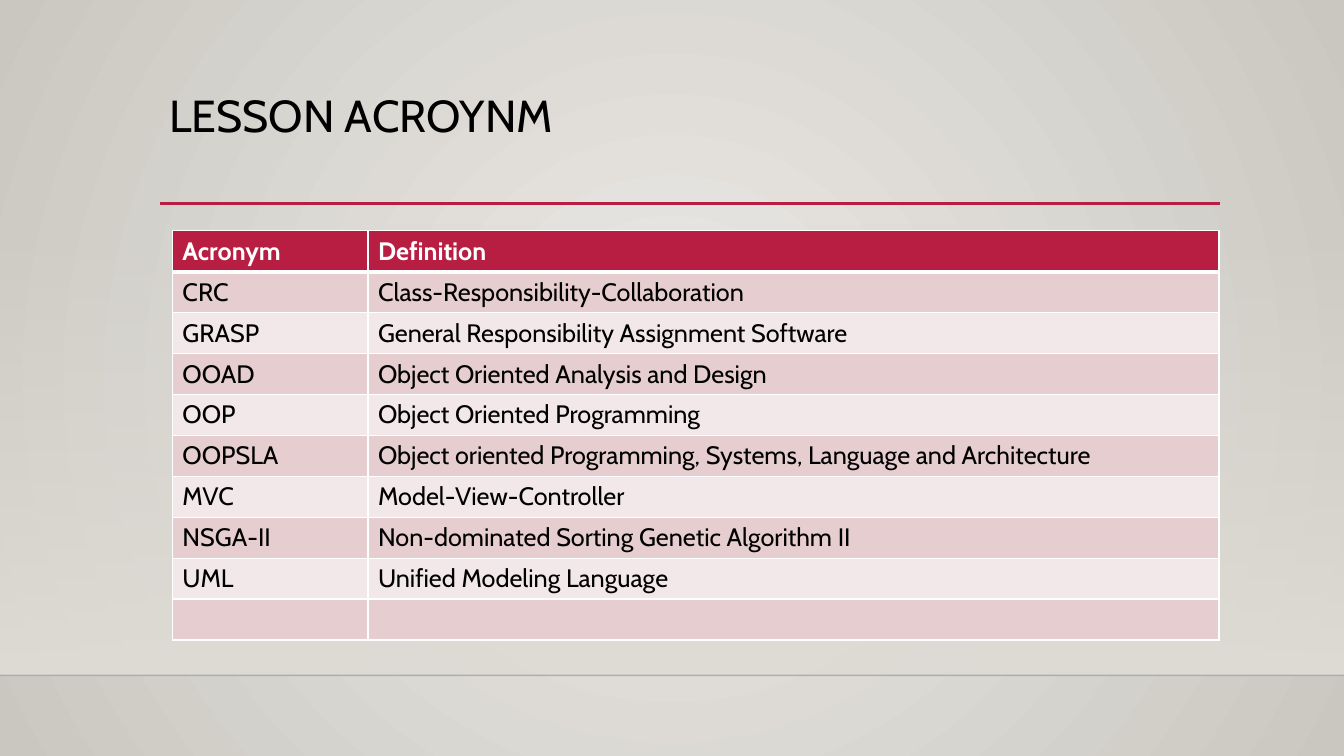
from lxml import etree
from pptx import Presentation, util as u
from pptx.dml.color import RGBColor
from pptx.enum import shapes, text
from pptx.oxml import parse_xml
from pptx.oxml.ns import qn

FONT = "Cabin"
INK = {
    "black": "000000", "white": "FFFFFF", "red": "B71E42",
    "rose": "E6CDCF", "pale": "F3E8E9", "sand": "DFDBD5",
    "glow": "ECEAE7", "edge": "CAC7C1", "floor": "000001",
}
ROWS = [
    ("Acronym", "Definition"),
    ("CRC", "Class-Responsibility-Collaboration"),
    ("GRASP", "General Responsibility Assignment Software"),
    ("OOAD", "Object Oriented Analysis and Design"),
    ("OOP", "Object Oriented Programming"),
    ("OOPSLA", "Object oriented Programming, Systems, Language and Architecture"),
    ("MVC", "Model-View-Controller"),
    ("NSGA-II", "Non-dominated Sorting Genetic Algorithm II"),
    ("UML", "Unified Modeling Language"),
    ("", ""),
]
COLS = (1.94, 8.44)
HIGH = 4.06 / len(ROWS)


def rgb(name):
    return RGBColor.from_string(INK[name])


def write(frame, words, size=18, color="black", bold=False, space=None):
    para = frame.paragraphs[0]
    para.line_spacing = space
    font = para.font
    if words:
        run = para.add_run()
        run.text = words
        font = run.font
    font.name, font.size, font.bold = FONT, u.Pt(size), bold
    font.color.rgb = rgb(color)


def blend(root, stops, way):
    """Replace the gradient under root; stops are (place, colour, opacity) in percent."""
    old = root.xpath(".//a:gradFill")[0]
    marks = "".join(
        f'<a:gs pos="{pos * 1000}"><a:srgbClr val="{INK[name]}">'
        f'<a:alpha val="{alpha * 1000}"/></a:srgbClr></a:gs>'
        for pos, name, alpha in stops)
    new = parse_xml(
        '<a:gradFill xmlns:a="http://schemas.openxmlformats.org/drawingml/2006/main" '
        f'rotWithShape="1"><a:gsLst>{marks}</a:gsLst>{way}</a:gradFill>')
    old.getparent().replace(old, new)


def paint(slide):
    """Fill the background with a round glow."""
    slide.background.fill.gradient()
    blend(slide._element, [(0, "glow", 100), (100, "edge", 100)],
          '<a:path path="circle"><a:fillToRect l="50000" t="50000" '
          'r="50000" b="50000"/></a:path>')


def wall(slide):
    box = slide.shapes.add_shape(
        shapes.MSO_SHAPE.RECTANGLE, 0, u.Inches(2.21), u.Inches(13.33), u.Inches(4.49))
    box.shadow.inherit = False
    box.line.fill.background()
    box.fill.gradient()
    blend(box._element, [(0, "sand", 0), (100, "sand", 100)],
          '<a:lin ang="5400000" scaled="0"/>')


def rule(slide, left, right, top, color, width, alpha=100):
    line = slide.shapes.add_connector(
        shapes.MSO_CONNECTOR.STRAIGHT,
        u.Inches(left), u.Inches(top), u.Inches(right), u.Inches(top))
    line.line.color.rgb = rgb(color)
    line.line.width = u.Pt(width)
    if alpha < 100:
        tint = line._element.xpath(".//a:ln//a:srgbClr")[0]
        etree.SubElement(tint, qn("a:alpha"), val=str(alpha * 1000))
    etree.SubElement(line._element.spPr, qn("a:effectLst"))


def title(slide, words):
    box = slide.shapes.add_textbox(
        u.Inches(1.58), u.Inches(0.88), u.Inches(10.5), u.Inches(1.16))
    frame = box.text_frame
    frame.word_wrap = True
    frame.vertical_anchor = text.MSO_ANCHOR.TOP
    write(frame, words, size=32, space=0.9)


def border(cell, sides):
    """Draw white cell edges; sides maps L, R, T, B to points."""
    props = cell._tc.get_or_add_tcPr()
    for spot, (side, width) in enumerate(sides.items()):
        edge = etree.Element(qn(f"a:ln{side}"), w=str(u.Pt(width)))
        fill = etree.SubElement(edge, qn("a:solidFill"))
        etree.SubElement(fill, qn("a:srgbClr"), val=INK["white"])
        props.insert(spot, edge)


def grid(slide):
    table = slide.shapes.add_table(
        len(ROWS), len(COLS), u.Inches(1.71), u.Inches(2.29),
        u.Inches(sum(COLS)), u.Inches(HIGH * len(ROWS))).table
    table.horz_banding = False
    for col, wide in zip(table.columns, COLS):
        col.width = u.Inches(wide)
    for i, row in enumerate(ROWS):
        head = i == 0
        shade = "red" if head else "rose" if i % 2 else "pale"
        sides = {"L": 1, "R": 1, "T": 3 if i == 1 else 1, "B": 3 if head else 1}
        for j, words in enumerate(row):
            cell = table.cell(i, j)
            cell.fill.solid()
            cell.fill.fore_color.rgb = rgb(shade)
            border(cell, sides)
            write(cell.text_frame, words, bold=head,
                  color="white" if head else "black")


def main():
    deck = Presentation()
    deck.slide_width, deck.slide_height = u.Inches(13.33), u.Inches(7.5)
    slide = deck.slides.add_slide(deck.slide_layouts[6])
    paint(slide)
    wall(slide)
    rule(slide, 0, 13.33, 6.7, "floor", 1, alpha=20)
    rule(slide, 1.59, 12.1, 2.02, "red", 2.5)
    title(slide, "LESSON ACROYNM")
    grid(slide)
    deck.save("out.pptx")


if __name__ == "__main__":
    main()
